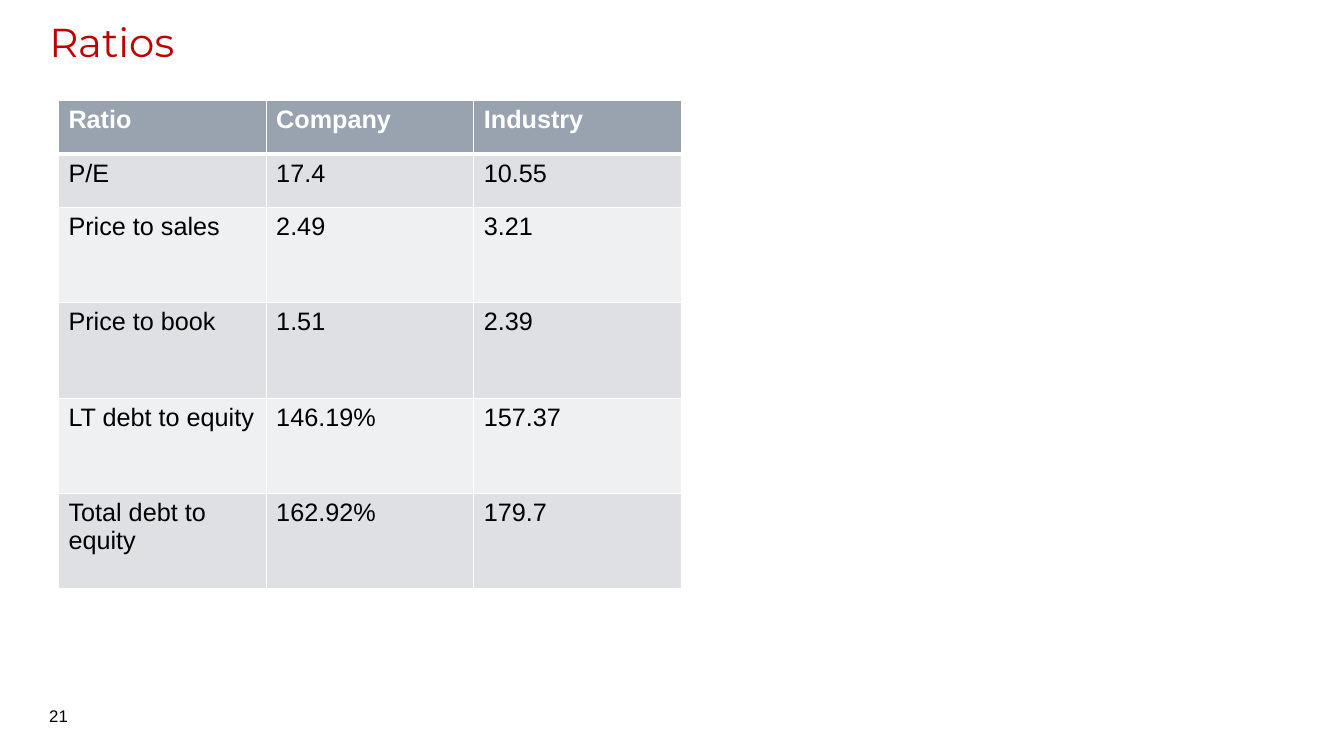
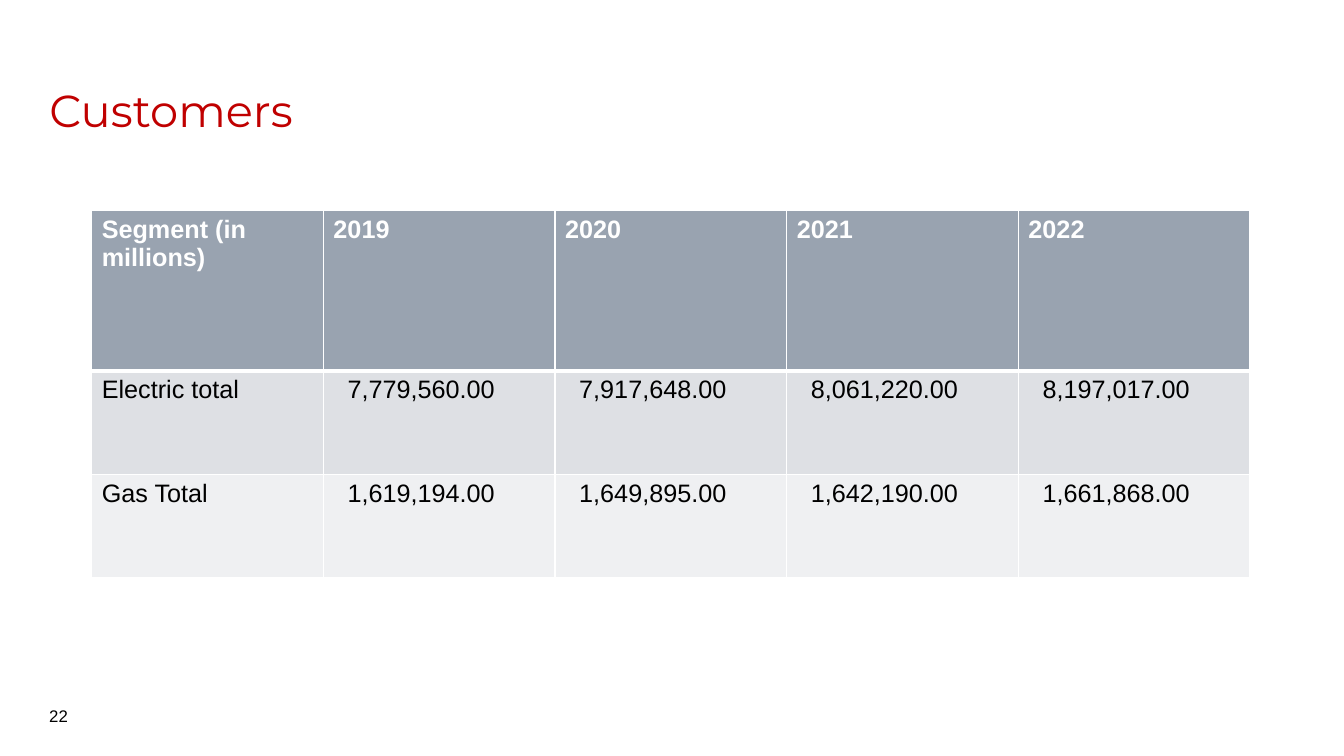
from dataclasses import dataclass

from lxml.etree import SubElement
from pptx import Presentation
from pptx.dml.color import RGBColor
from pptx.enum.text import MSO_ANCHOR
from pptx.oxml.ns import qn
from pptx.slide import Slide
from pptx.table import _Cell
from pptx.text.text import _Paragraph
from pptx.util import Emu, Pt

EMU_PER_PX = 9144
SLIDE_WIDTH, SLIDE_HEIGHT = 1333, 750
MARGIN_LEFT = 39
CELL_INSET = 10

TITLE_FONT, BODY_FONT = "Montserrat", "Arial"
RED = RGBColor(0xC0, 0x00, 0x00)
BLACK = RGBColor(0x00, 0x00, 0x00)
WHITE = RGBColor(0xFF, 0xFF, 0xFF)
HEADER_GREY = RGBColor(0x99, 0xA3, 0xB0)
BAND_GREYS = (RGBColor(0xDE, 0xE0, 0xE4), RGBColor(0xEF, 0xF0, 0xF2))


@dataclass(frozen=True)
class Box:
    left: int
    top: int
    width: int
    height: int

    def emu(self) -> tuple[Emu, Emu, Emu, Emu]:
        return px(self.left), px(self.top), px(self.width), px(self.height)


@dataclass(frozen=True)
class TextStyle:
    font: str
    size: float
    color: RGBColor
    bold: bool = False


@dataclass(frozen=True)
class TableSlide:
    title: str
    title_box: Box
    title_size: float
    number: int
    table_box: Box
    lead_rows: tuple[int, ...]
    rows: tuple[tuple[str, ...], ...]
    figure_indent: int = 0


PAGE_NUMBER_BOX = Box(MARGIN_LEFT, 695, 300, 40)
PAGE_NUMBER = TextStyle(BODY_FONT, 12, BLACK)
HEADER_TEXT = TextStyle(BODY_FONT, 18, WHITE, bold=True)
BODY_TEXT = TextStyle(BODY_FONT, 18, BLACK)

SLIDES = (
    TableSlide(
        title="Ratios",
        title_box=Box(MARGIN_LEFT, 25, 1248, 38),
        title_size=28.8,
        number=21,
        table_box=Box(58, 100, 618, 484),
        lead_rows=(53, 53),
        rows=(
            ("Ratio", "Company", "Industry"),
            ("P/E", "17.4", "10.55"),
            ("Price to sales", "2.49", "3.21"),
            ("Price to book", "1.51", "2.39"),
            ("LT debt to equity", "146.19%", "157.37"),
            ("Total debt to equity", "162.92%", "179.7"),
        ),
    ),
    TableSlide(
        title="Customers",
        title_box=Box(MARGIN_LEFT, 40, 1248, 145),
        title_size=32,
        number=22,
        table_box=Box(91, 209, 1149, 364),
        lead_rows=(159,),
        rows=(
            ("Segment (in millions)", "2019", "2020", "2021", "2022"),
            ("Electric total", "7,779,560.00", "7,917,648.00", "8,061,220.00", "8,197,017.00"),
            ("Gas Total", "1,619,194.00", "1,649,895.00", "1,642,190.00", "1,661,868.00"),
        ),
        figure_indent=14,
    ),
)


def px(length: float) -> Emu:
    return Emu(round(length * EMU_PER_PX))


def add_run(paragraph: _Paragraph, text: str, style: TextStyle) -> None:
    run = paragraph.add_run()
    run.text = text
    run.font.name = style.font
    run.font.size = Pt(style.size)
    run.font.bold = style.bold
    run.font.color.rgb = style.color


def add_text(slide: Slide, box: Box, text: str, style: TextStyle,
             anchor: MSO_ANCHOR = MSO_ANCHOR.TOP, line_spacing: float = 1.0) -> None:
    frame = slide.shapes.add_textbox(*box.emu()).text_frame
    frame.word_wrap = True
    frame.vertical_anchor = anchor
    paragraph = frame.paragraphs[0]
    paragraph.line_spacing = line_spacing
    add_run(paragraph, text, style)


def set_borders(cell: _Cell, top: int, bottom: int) -> None:
    properties = cell._tc.get_or_add_tcPr()
    for side, width in (("L", 1), ("R", 1), ("T", top), ("B", bottom)):
        line = SubElement(properties, qn(f"a:ln{side}"), w=str(Pt(width)))
        SubElement(SubElement(line, qn("a:solidFill")), qn("a:srgbClr"), val=str(WHITE))


def add_data_table(slide: Slide, content: TableSlide) -> None:
    row_count, column_count = len(content.rows), len(content.rows[0])
    box = content.table_box
    table = slide.shapes.add_table(row_count, column_count, *box.emu()).table
    table.first_row = table.horz_banding = False
    for column in table.columns:
        column.width = px(box.width / column_count)

    lead_count = len(content.lead_rows)
    shared_height = (box.height - sum(content.lead_rows)) / (row_count - lead_count)
    heights = content.lead_rows + (shared_height,) * (row_count - lead_count)
    for row_index, (texts, height) in enumerate(zip(content.rows, heights)):
        table.rows[row_index].height = px(height)
        is_header = row_index == 0
        for column_index, text in enumerate(texts):
            cell = table.cell(row_index, column_index)
            is_figure = not is_header and column_index > 0
            cell.margin_left = px(CELL_INSET + (content.figure_indent if is_figure else 0))
            set_borders(cell, top=3 if row_index == 1 else 1, bottom=3 if is_header else 1)
            cell.fill.solid()
            cell.fill.fore_color.rgb = HEADER_GREY if is_header else BAND_GREYS[(row_index - 1) % 2]
            add_run(cell.text_frame.paragraphs[0], text, HEADER_TEXT if is_header else BODY_TEXT)


def main() -> None:
    deck = Presentation()
    deck.slide_width, deck.slide_height = px(SLIDE_WIDTH), px(SLIDE_HEIGHT)
    for content in SLIDES:
        slide = deck.slides.add_slide(deck.slide_layouts[6])
        title_style = TextStyle(TITLE_FONT, content.title_size, RED)
        add_text(slide, content.title_box, content.title, title_style, MSO_ANCHOR.MIDDLE, 0.9)
        add_text(slide, PAGE_NUMBER_BOX, str(content.number), PAGE_NUMBER)
        add_data_table(slide, content)
    deck.save("out.pptx")


if __name__ == "__main__":
    main()
